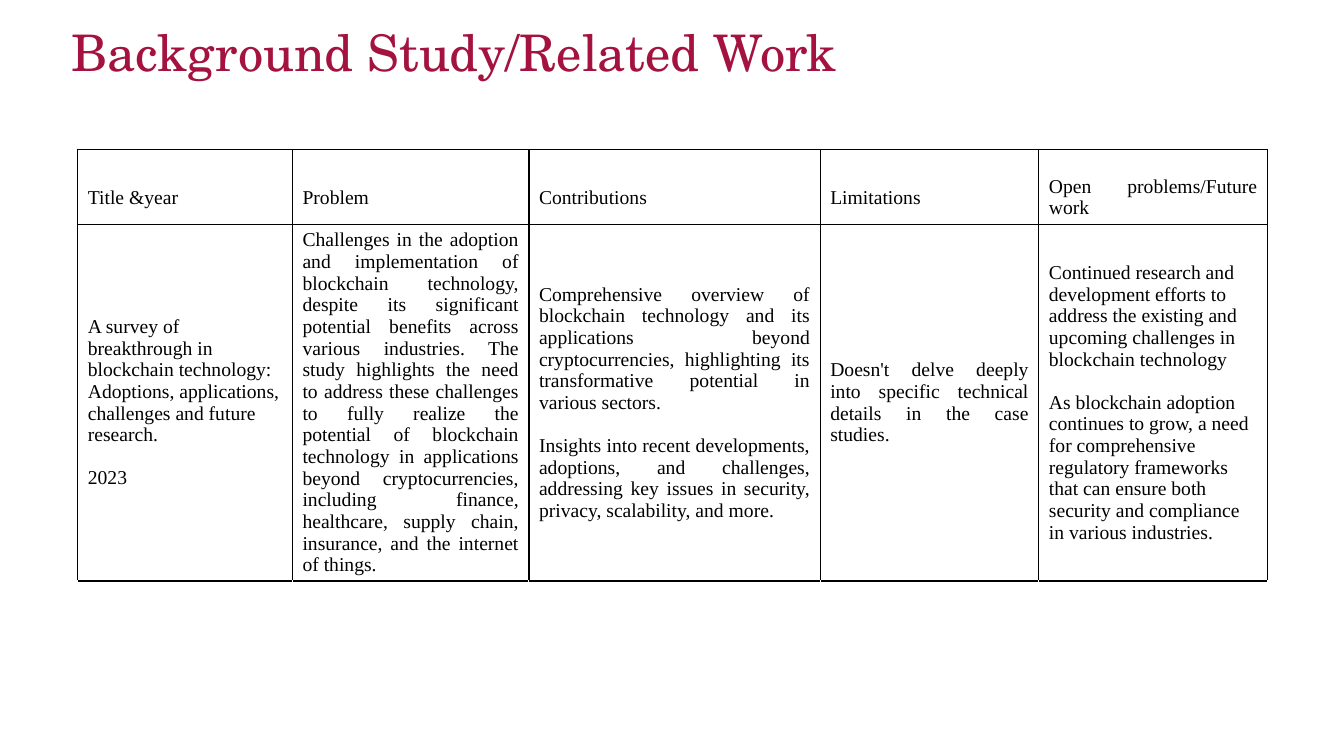
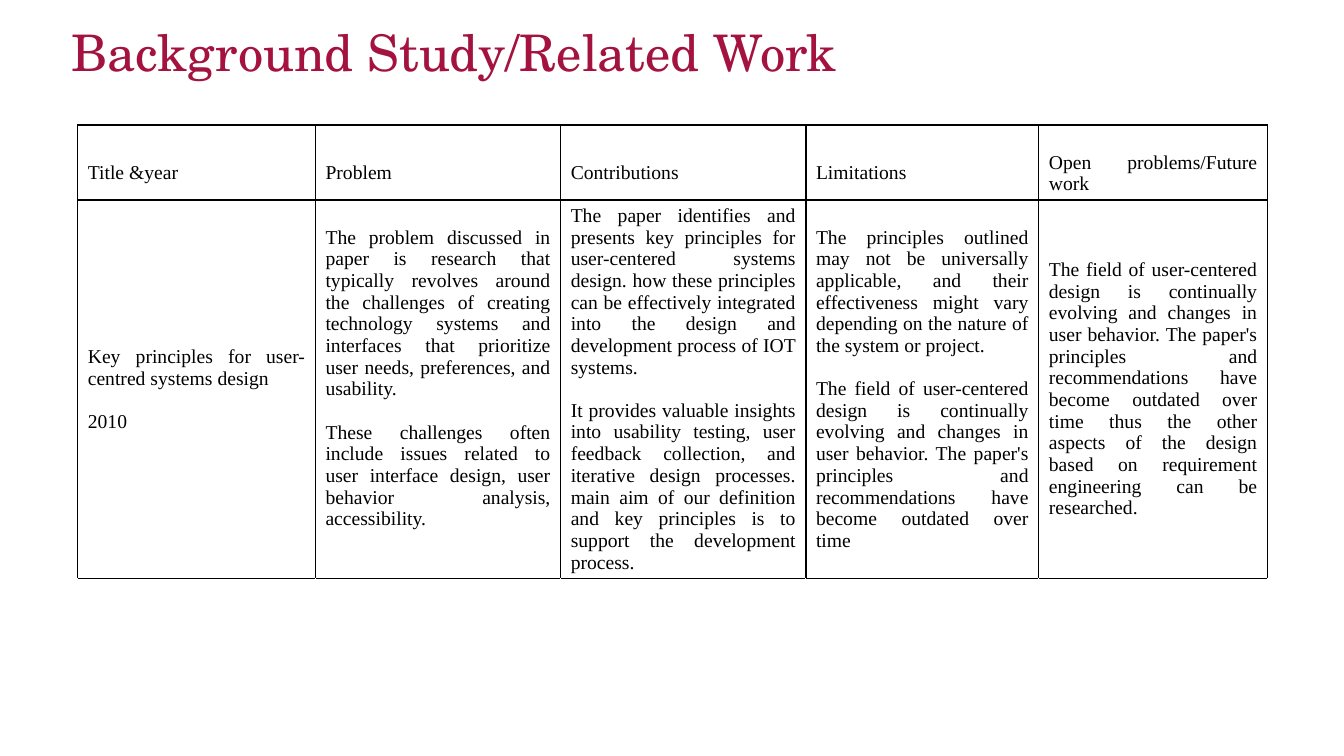
from lxml import etree
from pptx import Presentation
from pptx.dml.color import RGBColor
from pptx.enum.text import MSO_ANCHOR, MSO_AUTO_SIZE, PP_ALIGN
from pptx.oxml.ns import qn
from pptx.util import Cm, Pt

LEFT, JUST = PP_ALIGN.LEFT, PP_ALIGN.JUSTIFY
MID = MSO_ANCHOR.MIDDLE
FIXED = MSO_AUTO_SIZE.NONE

HUES = {"title": "A4123F", "ink": "000000", "paper": "FFFFFF"}
SERIF, BODY = "TeX Gyre Schola", "Times New Roman"
TITLE = "Background Study/Related Work"
HEADS = ["Title &year", "Problem", "Contributions", "Limitations",
         "Open problems/Future work"]
PAD, LINE = 0.13, 0.54  # cell margin and height of one text line, in cm


def put(frame, text, font=BODY, size=14, hue="ink", align=JUST, gap=0, pitch=None):
    """Fill a frame, one paragraph for each line of the text."""
    frame.word_wrap = True
    for i, part in enumerate(text.split("\n")):
        para = frame.paragraphs[0] if i == 0 else frame.add_paragraph()
        para.alignment = align
        if i:
            para.space_before = Cm(gap)
        if pitch:
            para.line_spacing = pitch
        run = para.add_run()
        run.text = part
        run.font.name, run.font.size, run.font.bold = font, Pt(size), False
        run.font.color.rgb = RGBColor.from_string(HUES[hue])


def edge(cell, side, hue, width):
    """Draw one side of a cell."""
    line = etree.SubElement(cell._tc.get_or_add_tcPr(), qn(f"a:ln{side}"),
                            w=str(Pt(width)))
    fill = etree.SubElement(line, qn("a:solidFill"))
    etree.SubElement(fill, qn("a:srgbClr"), val=HUES[hue])


class Deck:
    def __init__(self):
        self.file = Presentation()
        self.file.slide_width, self.file.slide_height = Cm(33.87), Cm(19.05)
        self.slide = None

    def page(self, text):
        """Start a slide with its title."""
        self.slide = self.file.slides.add_slide(self.file.slide_layouts[5])
        fill = self.slide.background.fill
        fill.solid()
        fill.fore_color.rgb = RGBColor.from_string(HUES["paper"])
        title = self.slide.shapes.title
        title.left, title.top = Cm(1.55), Cm(0.7)
        title.width, title.height = Cm(29.2), Cm(1.4)
        title.text_frame.auto_size = FIXED
        title.text_frame.vertical_anchor = MID
        put(title.text_frame, text, font=SERIF, size=36, hue="title",
            align=LEFT, pitch=0.9)

    def grid(self, top, cols, tall, cells, left=(), low=()):
        """Add a table: left lists ragged columns, low those raised a line."""
        rows = [1.89, tall, 2.5]
        table = self.slide.shapes.add_table(
            len(rows), len(cols), Cm(1.96), Cm(top), Cm(sum(cols)), Cm(sum(rows))).table
        table.first_row = table.horz_banding = False
        for col, width in zip(table.columns, cols):
            col.width = Cm(width)
        for row, height in zip(table.rows, rows):
            row.height = Cm(height)

        # Borders: the closing row keeps only its top line
        for r in range(len(rows)):
            for c in range(len(cols)):
                cell = table.cell(r, c)
                for side in "LRTB":
                    if r < 2 or side == "T":
                        edge(cell, side, "ink", 1)
                    else:
                        edge(cell, side, "paper", 0.75)
                cell.fill.background()
                cell.vertical_anchor = MID

        # Wording
        for c, (head, text) in enumerate(zip(HEADS, cells)):
            cell = table.cell(0, c)
            cell.margin_top = Cm(PAD + LINE)
            put(cell.text_frame, head)
            cell = table.cell(1, c)
            if c in low:
                cell.margin_bottom = Cm(PAD + LINE)
            put(cell.text_frame, text, align=LEFT if c in left else JUST, gap=LINE)


def main():
    deck = Deck()

    # Blockchain survey
    deck.page(TITLE)
    deck.grid(3.76, [5.41, 5.96, 7.34, 5.51, 5.76], 8.97, [
        "A survey of breakthrough in blockchain technology: Adoptions, "
        "applications, challenges and future research.\n2023",
        "Challenges in the adoption and implementation of blockchain technology, "
        "despite its significant potential benefits across various industries. The "
        "study highlights the need to address these challenges to fully realize the "
        "potential of blockchain technology in applications beyond cryptocurrencies, "
        "including finance, healthcare, supply chain, insurance, and the internet "
        "of things.",
        "Comprehensive overview of blockchain technology and its applications "
        "beyond cryptocurrencies, highlighting its transformative potential in "
        "various sectors.\n"
        "Insights into recent developments, adoptions, and challenges, addressing "
        "key issues in security, privacy, scalability, and more.",
        "Doesn't delve deeply into specific technical details in the case studies.",
        "Continued research and development efforts to address the existing and "
        "upcoming challenges in blockchain technology\n"
        "As blockchain adoption continues to grow, a need for comprehensive "
        "regulatory frameworks that can ensure both security and compliance in "
        "various industries.",
    ], left=(0, 4))

    # User-centred design
    dated = ("The field of user-centered design is continually evolving and changes "
             "in user behavior. The paper's principles and recommendations have "
             "become outdated over time")
    deck.page(TITLE)
    deck.grid(3.15, [5.99, 6.18, 6.18, 5.87, 5.76], 9.53, [
        "Key principles for user-centred systems design\n2010",
        "The problem discussed in paper is research that typically revolves around "
        "the challenges of creating technology systems and interfaces that "
        "prioritize user needs, preferences, and usability.\n"
        "These challenges often include issues related to user interface design, "
        "user behavior analysis, accessibility.",
        "The paper identifies and presents key principles for user-centered systems "
        "design. how these principles can be effectively integrated into the design "
        "and development process of IOT systems.\n"
        "It provides valuable insights into usability testing, user feedback "
        "collection, and iterative design processes. main aim of our definition and "
        "key principles is to support the development process.",
        "The principles outlined may not be universally applicable, and their "
        "effectiveness might vary depending on the nature of the system or "
        "project.\n" + dated,
        dated + " thus the other aspects of the design based on requirement "
        "engineering can be researched.",
    ], low=(1,))

    deck.file.save("out.pptx")


if __name__ == "__main__":
    main()
